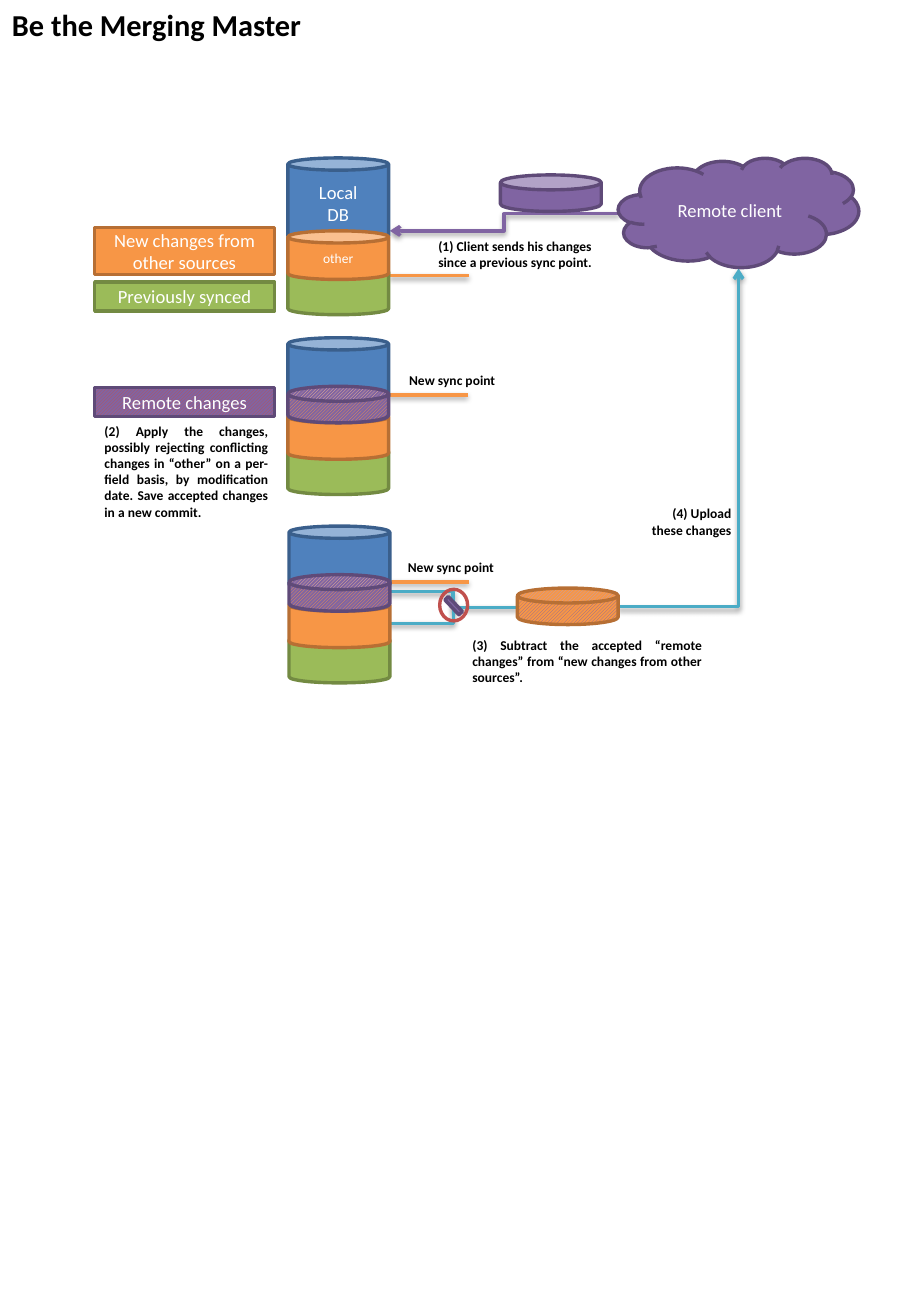
from lxml import etree
from pptx import Presentation
from pptx.dml.color import RGBColor
from pptx.enum.dml import MSO_PATTERN
from pptx.enum.shapes import MSO_CONNECTOR as LINE, MSO_SHAPE as SHAPE
from pptx.enum.text import MSO_ANCHOR as ANCHOR, PP_ALIGN as ALIGN
from pptx.oxml.ns import qn
from pptx.util import Inches, Pt

THEME = {
    "font": "Calibri", "title": 18, "label": 11, "note": 8, "line": 2,
    "black": "000000", "white": "FFFFFF", "teal": "4BACC6", "red": "C0504D",
    "orange": "F79646", "purple": "8064A2",
}
# Fill (a pair is pattern foreground and background) and outline
STYLES = {
    "local": ("4F81BD", "3A5F8C"),
    "synced": ("9BBB59", "738A42"),
    "other": (THEME["orange"], "B76F34"),
    "remote": (THEME["purple"], "5F4A78"),
    "merged": ((THEME["orange"], THEME["purple"]), "5F4A78"),
    "remote key": ((THEME["red"], THEME["purple"]), "5F4A78"),
    "upload": ((THEME["purple"], THEME["orange"]), "B76F34"),
    "forbidden": (None, THEME["red"]),
}

# Content: position and size in inches
TITLE = "Be the Merging Master"
NOTES = [
    ("(1) Client sends his changes since a previous sync point.", (3.51, 1.91, 1.49, 0.42), ALIGN.LEFT),
    ("New sync point", (3.27, 3.01, 1.73, 0.23), ALIGN.LEFT),
    ("New sync point", (3.26, 4.55, 1, 0.23), ALIGN.LEFT),
    ("(3) Subtract the accepted “remote changes” from “new changes from other sources”.",
     (3.79, 5.19, 2.09, 0.56), ALIGN.JUSTIFY),
    ("(4) Upload these changes", (5.2, 4.11, 0.92, 0.46), ALIGN.RIGHT),
]
APPLY_NOTE = ("(2) Apply the changes, possibly rejecting conflicting changes in “other” on a "
              "per-field basis, by modification date. Save accepted changes in a new commit.",
              (0.82, 3.48, 1.43, 0.86), ALIGN.JUSTIFY)
KEYS = [  # text, style, top, height
    ("New changes from other sources", "other", 1.87, 0.39),
    ("Previously synced", "synced", 2.32, 0.24),
    ("Remote changes", "remote key", 3.19, 0.24),
]
KEY_LEFT, KEY_WIDTH = 0.78, 1.48

# Databases: left, top, height and rim of the local part, texts, whether merged
DATABASES = [
    (2.37, 1.3, 0.69, 0.146, {"local": "Local\vDB", "other": "other"}, False),
    (2.37, 2.78, 0.53, 0.19, {}, True),
    (2.38, 4.33, 0.53, 0.19, {}, True),
]
CAN_WIDTH, LAYER_HEIGHT, DISC_HEIGHT, DISC_RIM = 0.83, 0.4, 0.3, 0.409
SYNCED_OFFSET, OTHER_OFFSET, MERGED_OFFSET = 0.89, 0.6, 0.4
CHANGE_SETS = [("remote", 4.12, 1.44), ("upload", 4.26, 4.84)]  # style, left, top

SYNC_POINTS = [(3.21, 2.27), (3.2, 3.25), (3.21, 4.79)]
SYNC_LENGTH = 0.65
ELBOWS = [  # start, end, colour, bend, arrow, turned
    ((5.09, 5), (6.08, 2.21), "teal", 0.003, True, True),
    ((3.2, 4.87), (3.75, 5), "teal", 0.961, False, False),
    ((5.09, 1.76), (3.21, 1.9), "purple", 0.5, True, False),
    ((3.21, 5.13), (4.26, 5), "teal", 0.5, False, False),
]

presentation = Presentation()
presentation.slide_width, presentation.slide_height = Inches(7.5), Inches(10.83)
slide = presentation.slides.add_slide(presentation.slide_layouts[6])


def color(name):
    return RGBColor.from_string(THEME.get(name, name))


def write(shape, text, size, ink, align, bold=False, inset=None):
    frame = shape.text_frame
    frame.word_wrap = True
    if inset is not None:
        frame.margin_left = frame.margin_right = Inches(inset)
        frame.margin_top = frame.margin_bottom = 0
    paragraph = frame.paragraphs[0]
    paragraph.text, paragraph.alignment = text, align
    font = paragraph.font
    font.name, font.size, font.bold = THEME["font"], Pt(THEME[size]), bold
    font.color.rgb = color(ink)
    return frame


def add_note(text, box, align, size="note", inset=None):
    shape = slide.shapes.add_textbox(*map(Inches, box))
    return write(shape, text, size, "black", align, True, inset)


def add_part(kind, box, style, text="", size="label", inset=None, rim=None):
    shape = slide.shapes.add_shape(kind, *map(Inches, box))
    shape.shadow.inherit = False
    fill, outline = STYLES[style]
    if fill is None:
        shape.fill.background()
    elif isinstance(fill, tuple):
        shape.fill.patterned()
        shape.fill.pattern = MSO_PATTERN.LIGHT_UPWARD_DIAGONAL
        shape.fill.fore_color.rgb, shape.fill.back_color.rgb = map(color, fill)
    else:
        shape.fill.solid()
        shape.fill.fore_color.rgb = color(fill)
    shape.line.color.rgb, shape.line.width = color(outline), Pt(THEME["line"])
    if rim is not None:
        shape.adjustments[0] = rim
    if text:
        frame = write(shape, text, size, "white", ALIGN.CENTER, inset=inset)
        frame.vertical_anchor = ANCHOR.MIDDLE
    return shape


def add_line(start, end, ink, bend=None, arrow=False, turned=False):
    if turned:  # lay the connector flat about its centre, then rotate it by 90 degrees
        center = [(a + b) / 2 for a, b in zip(start, end)]
        start, end = [(center[0] + y - center[1], center[1] - x + center[0])
                      for x, y in (start, end)]
    kind = LINE.STRAIGHT if bend is None else LINE.ELBOW
    connector = slide.shapes.add_connector(kind, *map(Inches, (*start, *end)))
    connector.line.color.rgb, connector.line.width = color(ink), Pt(THEME["line"])
    properties = connector._element.spPr
    if turned:
        properties.find(qn("a:xfrm")).set("rot", "5400000")
    if bend is not None:
        guides = properties.find(qn("a:prstGeom")).find(qn("a:avLst"))
        etree.SubElement(guides, qn("a:gd"), name="adj1", fmla=f"val {round(bend * 100000)}")
    if arrow:
        etree.SubElement(properties.find(qn("a:ln")), qn("a:tailEnd"), type="arrow")
    # Soft shadow below the line
    effects = etree.SubElement(properties, qn("a:effectLst"))
    shadow = etree.SubElement(effects, qn("a:outerShdw"), blurRad="40000", dist="20000",
                              dir="5400000", rotWithShape="0")
    shade = etree.SubElement(shadow, qn("a:srgbClr"), val=THEME["black"])
    etree.SubElement(shade, qn("a:alpha"), val="38000")


# Connectors lie behind the shapes
for x, y in SYNC_POINTS:
    add_line((x, y), (x + SYNC_LENGTH, y), "orange")
for elbow in ELBOWS:
    add_line(*elbow)

# Remote client and key
add_part(SHAPE.CLOUD, (5.09, 1.3, 1.98, 0.9), "remote", "Remote client")
for text, style, top, height in KEYS:
    add_part(SHAPE.RECTANGLE, (KEY_LEFT, top, KEY_WIDTH, height), style, text, inset=0)

# Layered databases
for left, top, height, rim, texts, merged in DATABASES:
    add_part(SHAPE.CAN, (left, top, CAN_WIDTH, height), "local", texts.get("local", ""), rim=rim)
    for style, offset in (("synced", SYNCED_OFFSET), ("other", OTHER_OFFSET)):
        add_part(SHAPE.CAN, (left, top + offset, CAN_WIDTH, LAYER_HEIGHT), style,
                 texts.get(style, ""), "note")
    if merged:
        add_part(SHAPE.CAN, (left, top + MERGED_OFFSET, CAN_WIDTH, DISC_HEIGHT), "merged",
                 rim=DISC_RIM)

# Change sets in transit and the subtraction sign
for style, left, top in CHANGE_SETS:
    add_part(SHAPE.CAN, (left, top, CAN_WIDTH, DISC_HEIGHT), style, rim=DISC_RIM)
add_part(SHAPE.OVAL, (3.62, 4.85, 0.23, 0.26), "forbidden")
add_part(SHAPE.MATH_MINUS, (3.62, 4.9, 0.23, 0.17), "remote").rotation = 46.5

# Notes and title
for note in NOTES:
    add_note(*note)
add_note(*APPLY_NOTE, inset=0.04)
add_note(TITLE, (0, 0, 2.6, 0.4), ALIGN.LEFT, "title").word_wrap = False

presentation.save("out.pptx")
